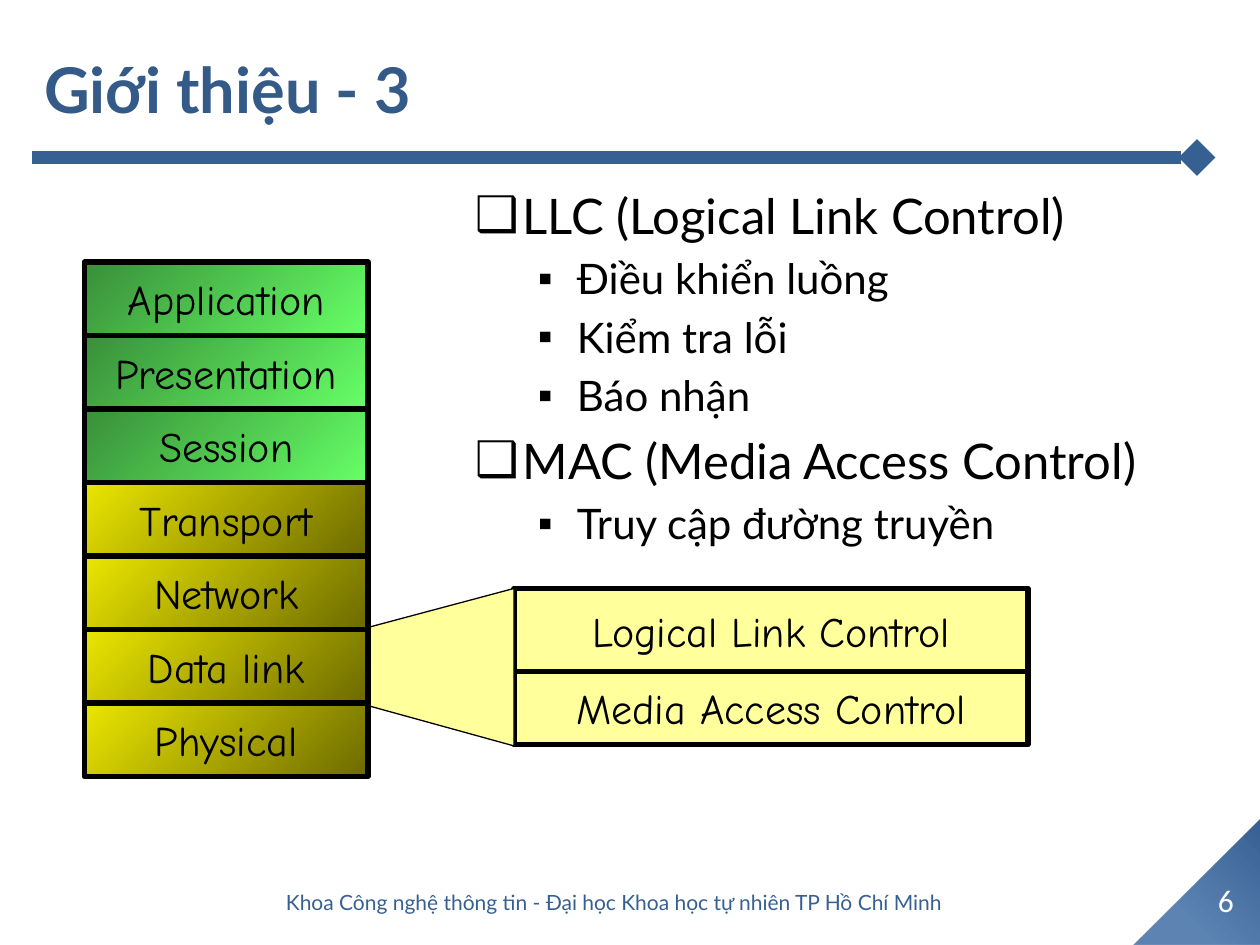
from lxml.etree import SubElement
from pptx import Presentation
from pptx.dml.color import RGBColor
from pptx.enum.shapes import MSO_CONNECTOR, MSO_SHAPE
from pptx.enum.text import MSO_ANCHOR, MSO_AUTO_SIZE, PP_ALIGN
from pptx.oxml import parse_xml
from pptx.oxml.ns import nsdecls, qn
from pptx.util import Inches, Pt

COLORS = {
    "title": "345A88", "accent": "376092", "corner": "3D6CA4",
    "text": "000000", "white": "FFFFFF", "sublayer": "FFFF9B",
    "green_start": "398F39", "green_end": "66FF66",
    "yellow_start": "EBE600", "yellow_end": "6D6A00",
}
LAYERS = [
    ("Application", "green"), ("Presentation", "green"), ("Session", "green"),
    ("Transport", "yellow"), ("Network", "yellow"), ("Data link", "yellow"),
    ("Physical", "yellow"),
]
POINTS = [
    (0, "LLC (Logical Link Control)"),
    (1, "Điều khiển luồng"),
    (1, "Kiểm tra lỗi"),
    (1, "Báo nhận"),
    (0, "MAC (Media Access Control)"),
    (1, "Truy cập đường truyền"),
]
BULLETS = [("❑", 28, 0.38, -0.38), ("▪", 24, 0.81, -0.31)]


def color(name):
    """Return the named colour."""
    return RGBColor.from_string(COLORS[name])


def format_text(para, size, font, tint, bold=False, align=PP_ALIGN.LEFT):
    """Format every run of a paragraph."""
    para.alignment = align
    for span in para.runs:
        span.font.size = Pt(size)
        span.font.name = font
        span.font.bold = bold
        span.font.color.rgb = color(tint)


def outline(shape, width):
    """Give a shape a black outline and no shadow."""
    shape.shadow.inherit = False
    shape.line.color.rgb = color("text")
    shape.line.width = Pt(width)


def set_title(page, text):
    """Fill and place the title placeholder."""
    title = page.shapes.title
    title.left, title.top = Inches(0.25), Inches(0.08)
    title.width, title.height = Inches(9.57), Inches(1.25)
    frame = title.text_frame
    frame.text = text
    frame.auto_size = MSO_AUTO_SIZE.NONE
    frame.vertical_anchor = MSO_ANCHOR.MIDDLE
    format_text(frame.paragraphs[0], 36, "Lato", "title", bold=True)


def add_rule(page):
    """Draw the title rule with its diamond end."""
    rule = page.shapes.add_connector(
        MSO_CONNECTOR.STRAIGHT, Inches(0.25), Inches(1.25), Inches(9.5), Inches(1.25))
    rule.line.color.rgb = color("accent")
    rule.line.width = Pt(7)
    SubElement(rule.line._get_or_add_ln(), qn("a:tailEnd"), type="diamond")
    SubElement(rule._element.spPr, qn("a:effectLst"))


def add_corner(page):
    """Draw the shaded triangle in the bottom corner."""
    corner = page.shapes.add_shape(
        MSO_SHAPE.RIGHT_TRIANGLE, Inches(9), Inches(6.5), Inches(1), Inches(1))
    corner.rotation = 270
    corner.line.fill.background()
    corner.shadow.inherit = False
    gradient = parse_xml(
        f'<a:gradFill {nsdecls("a")} rotWithShape="0"><a:gsLst>'
        f'<a:gs pos="0"><a:srgbClr val="{COLORS["accent"]}"/></a:gs>'
        f'<a:gs pos="68000"><a:srgbClr val="{COLORS["corner"]}">'
        '<a:alpha val="83000"/></a:srgbClr></a:gs></a:gsLst>'
        '<a:path path="circle"><a:fillToRect l="100000" b="100000"/></a:path></a:gradFill>')
    corner._element.spPr.find(qn("a:prstGeom")).addnext(gradient)


def add_box(shapes, text, left, top, width, height):
    """Add an outlined, labelled rectangle."""
    box = shapes.add_shape(
        MSO_SHAPE.RECTANGLE, Inches(left), Inches(top), Inches(width), Inches(height))
    outline(box, 3)
    frame = box.text_frame
    frame.text = text
    frame.word_wrap = False
    frame.vertical_anchor = MSO_ANCHOR.MIDDLE
    format_text(frame.paragraphs[0], 24, "Comic Neue", "text", align=PP_ALIGN.CENTER)
    return box


def add_layers(page):
    """Stack the seven network layers in a group."""
    group = page.shapes.add_group_shape()
    height = 7 / 12
    for index, (name, hue) in enumerate(LAYERS):
        box = add_box(group.shapes, name, 0.67, 2.08 + index * height, 2.25, height)
        box.fill.gradient()
        box.fill.gradient_angle = 315
        for stop, end in zip(box.fill.gradient_stops, ("start", "end")):
            stop.color.rgb = color(f"{hue}_{end}")


def add_sublayers(page):
    """Draw the two sublayers and the wedge from the data link layer."""
    for text, top, height in [("Logical Link Control", 4.67, 0.67),
                              ("Media Access Control", 5.33, 0.58)]:
        box = add_box(page.shapes, text, 4.08, top, 4.08, height)
        box.fill.solid()
        box.fill.fore_color.rgb = color("sublayer")
    corners = [(Inches(x), Inches(y))
               for x, y in [(4.08, 4.67), (2.92, 4.98), (2.92, 5.6), (4.08, 5.92)]]
    builder = page.shapes.build_freeform(*corners[0])
    builder.add_line_segments(corners[1:], close=True)
    wedge = builder.convert_to_shape()
    wedge.fill.solid()
    wedge.fill.fore_color.rgb = color("sublayer")
    outline(wedge, 0.75)


def add_points(page):
    """Write the two-level bullet list."""
    box = page.shapes.add_textbox(Inches(3.67), Inches(1.42), Inches(5.83), Inches(3.08))
    frame = box.text_frame
    frame.word_wrap = True
    for index, (level, text) in enumerate(POINTS):
        para = frame.add_paragraph() if index else frame.paragraphs[0]
        mark, size, margin, indent = BULLETS[level]
        para.text = text
        para.level = level
        format_text(para, size, "Lato", "text")
        settings = para._p.get_or_add_pPr()
        settings.set("marL", str(Inches(margin)))
        settings.set("indent", str(Inches(indent)))
        spacing = SubElement(settings, qn("a:spcBef"))
        SubElement(spacing, qn("a:spcPct"), val="20000")
        SubElement(settings, qn("a:buFont"), typeface="Arial")
        SubElement(settings, qn("a:buChar"), char=mark)


def add_label(page, text, left, top, width, size, font, tint):
    """Add a centred footer text."""
    box = page.shapes.add_textbox(Inches(left), Inches(top), Inches(width), Inches(0.4))
    frame = box.text_frame
    frame.text = text
    frame.word_wrap = True
    frame.vertical_anchor = MSO_ANCHOR.MIDDLE
    format_text(frame.paragraphs[0], size, font, tint, align=PP_ALIGN.CENTER)


def main():
    """Build the slide and save it."""
    deck = Presentation()
    deck.slide_width, deck.slide_height = Inches(10), Inches(7.5)
    page = deck.slides.add_slide(deck.slide_layouts[5])
    add_corner(page)
    add_rule(page)
    set_title(page, "Giới thiệu - 3")
    add_points(page)
    add_sublayers(page)
    add_layers(page)
    add_label(page, "6", 9.46, 6.94, 0.54, 18, "Calibri", "white")
    add_label(page, "Khoa Công nghệ thông tin - Đại học Khoa học tự nhiên TP Hồ Chí Minh",
              1.25, 6.96, 7.25, 12, "Lato", "accent")
    deck.save("out.pptx")


if __name__ == "__main__":
    main()
